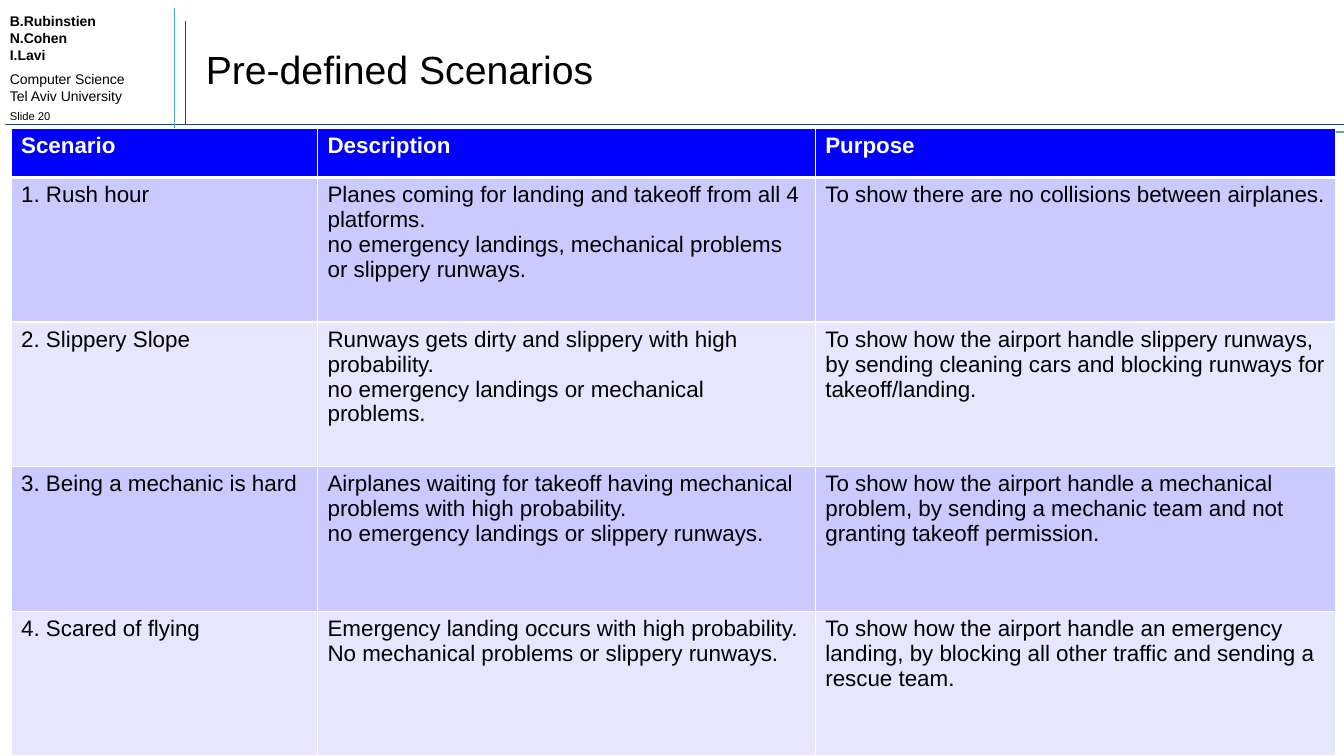
from dataclasses import dataclass

from lxml.etree import SubElement
from pptx import Presentation
from pptx.dml.color import RGBColor as Rgb
from pptx.enum.shapes import MSO_CONNECTOR as Connector
from pptx.enum.text import MSO_ANCHOR as Anchor, MSO_AUTO_SIZE as AutoSize, PP_ALIGN as Align
from pptx.oxml.ns import qn
from pptx.util import Cm, Pt


@dataclass(frozen=True)
class Theme:
    font: str = "Arial"
    ink: str = "000000"
    white: str = "FFFFFF"
    navy: str = "1F497D"
    teal: str = "4BACC6"
    header: str = "0000FF"
    bands: tuple = ("CACAFF", "E6E6FF")
    title_size: int = 28
    table_size: int = 16
    credit_size: int = 10
    number_size: int = 8


@dataclass(frozen=True)
class Box:
    left: float
    top: float
    width: float
    height: float

    def lengths(self):
        return [Cm(value) for value in (self.left, self.top, self.width, self.height)]


THEME = Theme()
PAGE = Box(0, 0, 33.86, 19.05)

# Credit paragraphs: text, size, bold, space before
CREDITS = [
    ("B.Rubinstien\nN.Cohen", THEME.credit_size, True, 0),
    ("I.Lavi", THEME.credit_size, True, 0),
    ("Computer Science\nTel Aviv University", THEME.credit_size, False, 5),
    ("Slide 20", THEME.number_size, False, 4),
]

COLUMN_WIDTHS = (7.72, 12.54, 13.1)
HEADER_HEIGHT = 1.24
SCENARIOS = [
    ("Scenario", "Description", "Purpose"),
    ("1. Rush hour",
     "Planes coming for landing and takeoff from all 4 platforms.\n"
     "no emergency landings, mechanical problems or slippery runways.",
     "To show there are no collisions between airplanes."),
    ("2. Slippery Slope",
     "Runways gets dirty and slippery with high probability.\n"
     "no emergency landings or mechanical problems.",
     "To show how the airport handle slippery runways, by sending cleaning cars "
     "and blocking runways for takeoff/landing."),
    ("3. Being a mechanic is hard",
     "Airplanes waiting for takeoff having mechanical problems with high probability.\n"
     "no emergency landings or slippery runways.",
     "To show how the airport handle a mechanical problem, by sending a mechanic team "
     "and not granting takeoff permission."),
    ("4. Scared of flying",
     "Emergency landing occurs with high probability.\n"
     "No mechanical problems or slippery runways.",
     "To show how the airport handle an emergency landing, by blocking all other traffic "
     "and sending a rescue team."),
]


def apply(target, values):
    for name, value in values.items():
        setattr(target, name, value)


def style_font(para, size, color=THEME.ink, bold=False):
    apply(para.font, {"name": THEME.font, "size": Pt(size), "bold": bold})
    para.font.color.rgb = Rgb.from_string(color)


def add_rules(page, box):
    """Two crossing pairs of thin lines that frame the heading."""
    bottom, right = box.top + box.height, box.left + box.width
    rules = [
        (0.13, bottom - 0.2, right, bottom - 0.2, THEME.navy),
        (0.41, bottom, right, bottom, THEME.teal),
        (4.39, bottom, 4.39, box.top, THEME.teal),
        (4.67, bottom - 0.2, 4.67, box.top + 0.33, THEME.navy),
    ]
    for *ends, color in rules:
        rule = page.shapes.add_connector(Connector.STRAIGHT, *map(Cm, ends))
        rule.line.color.rgb = Rgb.from_string(color)
        rule.line.width = Pt(1)
        SubElement(rule._element.spPr, qn("a:effectLst"))


def add_credits(page, box):
    """Authors, department and slide number."""
    frame = page.shapes.add_textbox(*box.lengths()).text_frame
    apply(frame, {"word_wrap": True, "auto_size": AutoSize.SHAPE_TO_FIT_TEXT})
    for index, (text, size, bold, space) in enumerate(CREDITS):
        para = frame.add_paragraph() if index else frame.paragraphs[0]
        para.text = text.replace("\n", "\v")
        style_font(para, size, bold=bold)
        if space:
            para.space_before = Pt(space)


def fill_title(page, box, text):
    title = page.shapes.title
    apply(title, dict(zip(("left", "top", "width", "height"), box.lengths())))
    frame = title.text_frame
    frame.text = text
    apply(frame, {"auto_size": AutoSize.NONE, "vertical_anchor": Anchor.MIDDLE,
                  "word_wrap": True})
    para = frame.paragraphs[0]
    para.alignment = Align.LEFT
    style_font(para, THEME.title_size)


def add_borders(cell, widths):
    """White cell borders; widths are points by side."""
    props = cell._tc.get_or_add_tcPr()
    for side, width in widths.items():
        line = SubElement(props, qn(f"a:ln{side}"), w=str(Pt(width)))
        SubElement(SubElement(line, qn("a:solidFill")), qn("a:srgbClr"), val=THEME.white)


def add_scenario_table(page, box):
    table = page.shapes.add_table(
        len(SCENARIOS), len(COLUMN_WIDTHS), *box.lengths()).table
    for column, width in zip(table.columns, COLUMN_WIDTHS):
        column.width = Cm(width)
    body_height = (box.height - HEADER_HEIGHT) / (len(SCENARIOS) - 1)

    for row_index, texts in enumerate(SCENARIOS):
        is_header = row_index == 0
        table.rows[row_index].height = Cm(HEADER_HEIGHT if is_header else body_height)
        fill = THEME.header if is_header else THEME.bands[(row_index - 1) % 2]
        color = THEME.white if is_header else THEME.ink
        # The line under the header is the heavy one
        borders = {"L": 1, "R": 1, "T": 3 if row_index == 1 else 1, "B": 3 if is_header else 1}
        for column_index, text in enumerate(texts):
            cell = table.cell(row_index, column_index)
            add_borders(cell, borders)
            cell.fill.solid()
            cell.fill.fore_color.rgb = Rgb.from_string(fill)
            cell.text_frame.text = text
            for para in cell.text_frame.paragraphs:
                style_font(para, THEME.table_size, color, is_header)


def main():
    deck = Presentation()
    apply(deck, {"slide_width": Cm(PAGE.width), "slide_height": Cm(PAGE.height)})
    page = deck.slides.add_slide(deck.slide_layouts[5])

    # Heading band
    add_rules(page, Box(0, 0.2, PAGE.width, 3.13))
    add_credits(page, Box(0, 0.2, 4.8, 3.05))
    fill_title(page, Box(4.93, 0.76, 27.23, 1.96), "Pre-defined Scenarios")

    # Scenarios
    add_scenario_table(page, Box(0.28, 3.23, sum(COLUMN_WIDTHS), 15.82))

    deck.save("out.pptx")


if __name__ == "__main__":
    main()
